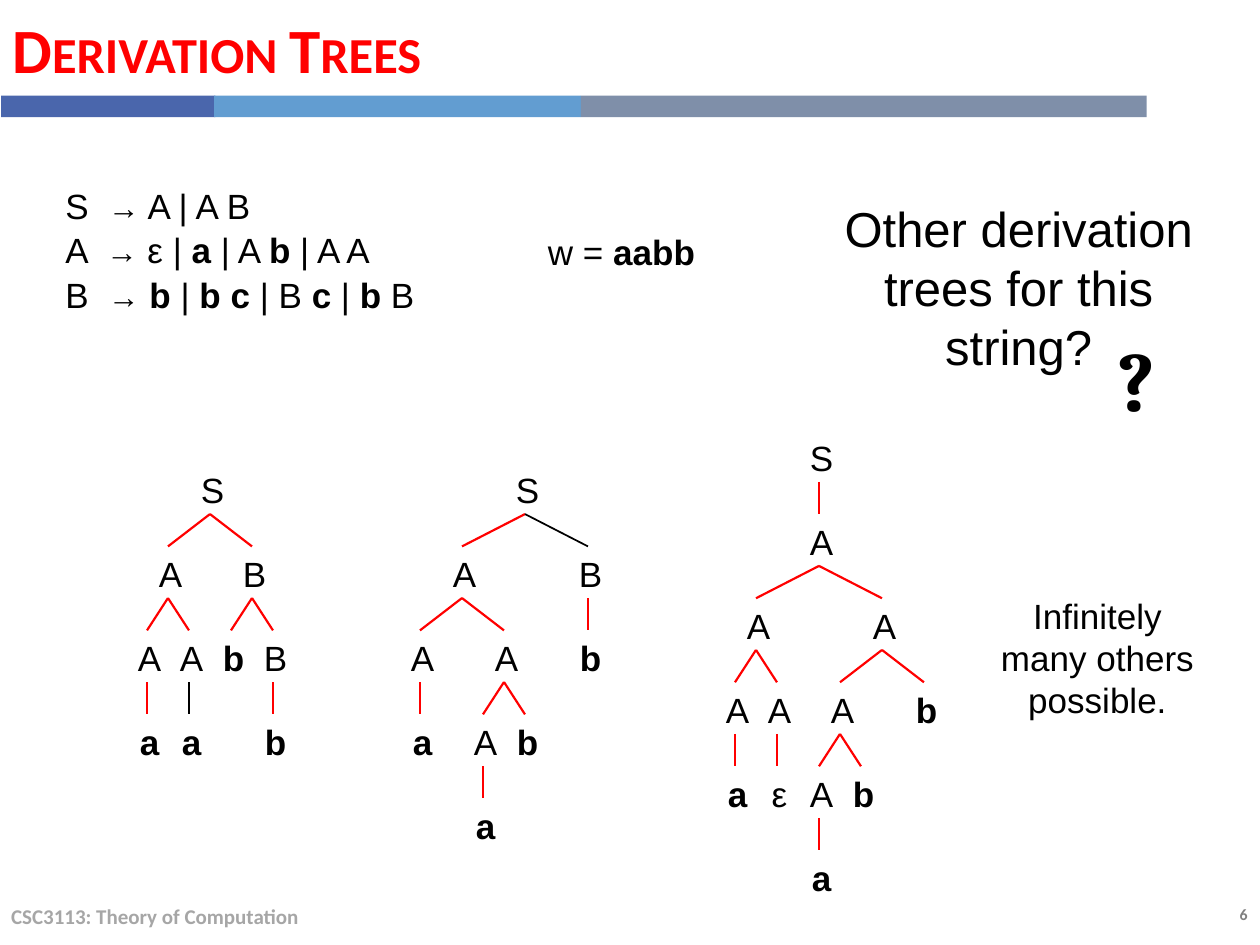
from dataclasses import dataclass

from lxml.etree import SubElement
from pptx import Presentation
from pptx.dml.color import RGBColor
from pptx.enum.shapes import MSO_CONNECTOR, MSO_SHAPE
from pptx.enum.text import MSO_ANCHOR, MSO_AUTO_SIZE, PP_ALIGN
from pptx.oxml.ns import qn
from pptx.util import Inches, Pt

RED, BLACK, WHITE = "FF0000", "000000", "FFFFFF"
COLUMN = 1 / 6
LEVEL = 2 / 3
NODE_WIDTH, NODE_HEIGHT = 0.39, 0.44
NODE_SHIFT = 0.02
EDGE_START = 0.41


@dataclass(frozen=True)
class Node:
    """A tree symbol on a column grid, with the colour of the edge above it."""
    label: str
    column: int
    children: tuple["Node", ...] = ()
    edge: str = RED


@dataclass(frozen=True)
class Label:
    """A block of text; asterisks enclose its bold parts."""
    lines: tuple[str, ...]
    left: float
    top: float
    width: float
    height: float
    size: float = 20
    font: str = "Arial"
    color: str = BLACK
    align: PP_ALIGN = PP_ALIGN.CENTER
    anchor: MSO_ANCHOR = MSO_ANCHOR.TOP
    wrap: bool = False
    line_spacing: float = 1.0
    space_before: float = 0
    small_caps: bool = False
    framed: bool = True


def rgb(value: str) -> RGBColor:
    """Turn a hex string into a colour."""
    return RGBColor.from_string(value)


def add_spans(para, line: str, label: Label) -> None:
    """Write one line as formatted runs, with arrows slightly smaller."""
    for index, part in enumerate(line.split("*")):
        before, arrow, after = part.partition("→")
        for words, size in ((before, label.size), (arrow, label.size - 2), (after, label.size)):
            if not words:
                continue
            span = para.add_run()
            span.text = words
            span.font.name = label.font
            span.font.size = Pt(size)
            span.font.bold = index % 2 == 1
            span.font.color.rgb = rgb(label.color)
            if label.small_caps:
                span.font._element.set("cap", "small")


def add_box(shapes, label: Label):
    """Draw a white-framed rectangle or a plain text box for a label."""
    place = (Inches(label.left), Inches(label.top), Inches(label.width), Inches(label.height))
    if not label.framed:
        return shapes.add_textbox(*place)
    box = shapes.add_shape(MSO_SHAPE.RECTANGLE, *place)
    box.shadow.inherit = False
    box.fill.background()
    box.line.color.rgb = rgb(WHITE)
    box.line.width = Pt(0.75)
    box.text_frame.auto_size = MSO_AUTO_SIZE.SHAPE_TO_FIT_TEXT
    return box


def add_label(shapes, label: Label) -> None:
    """Draw a label with its text."""
    frame = add_box(shapes, label).text_frame
    frame.word_wrap = label.wrap
    frame.vertical_anchor = label.anchor
    for index, line in enumerate(label.lines):
        para = frame.add_paragraph() if index else frame.paragraphs[0]
        para.alignment = label.align
        para.line_spacing = label.line_spacing
        para.space_before = Pt(label.space_before)
        add_spans(para, line, label)


def add_bar(shapes, left: float, width: float, color: str) -> None:
    """Draw one segment of the band below the title."""
    bar = shapes.add_shape(MSO_SHAPE.RECTANGLE, Inches(left), Inches(0.76),
                           Inches(width), Inches(0.17))
    bar.shadow.inherit = False
    bar.fill.solid()
    bar.fill.fore_color.rgb = rgb(color)
    bar.line.fill.background()


def add_edge(shapes, parent: Node, child: Node, top: float) -> None:
    """Join a parent, whose box starts at top, to its child."""
    edge = shapes.add_connector(MSO_CONNECTOR.STRAIGHT,
                                Inches(parent.column * COLUMN), Inches(top + EDGE_START),
                                Inches(child.column * COLUMN), Inches(top + LEVEL))
    edge.line.color.rgb = rgb(child.edge)
    edge.line.width = Pt(1.25 if child.edge == RED else 1)
    SubElement(edge._element.spPr, qn("a:effectLst"))


def add_tree(shapes, node: Node, top: float) -> None:
    """Draw a node and, recursively, everything derived from it."""
    left = node.column * COLUMN + NODE_SHIFT - NODE_WIDTH / 2
    add_label(shapes, Label((node.label,), left, top, NODE_WIDTH, NODE_HEIGHT))
    for child in node.children:
        add_tree(shapes, child, top + LEVEL)
        add_edge(shapes, node, child, top)


BARS = ((0.01, 1.7, "4A66AC"), (1.7, 2.91, "629DD1"), (4.61, 4.49, "7F8FA9"))

LABELS = (
    Label(("*6*",), 8.73, 7.13, 1.27, 0.25, 9, "Calibri", "808080", PP_ALIGN.RIGHT,
          wrap=True, framed=False),
    Label(("*CSC3113: Theory of Computation*",), -0.01, 7.07, 6.7, 0.4, 12, "Calibri", "A6A6A6",
          PP_ALIGN.LEFT, MSO_ANCHOR.MIDDLE, wrap=True, framed=False),
    Label(("*Derivation Trees*",), 0, 0, 9.1, 0.76, 36, "Calibri", RED, PP_ALIGN.LEFT,
          MSO_ANCHOR.MIDDLE, wrap=True, space_before=6, small_caps=True, framed=False),
    Label(("Infinitely many others possible.",), 7.84, 4.67, 1.74, 1.1, wrap=True),
    Label(("S  → A | A B", "A  → ε | *a* | A *b* | A A", "B  → *b* | *b c* | B *c* | *b *B"),
          0.42, 1.45, 2.99, 1.14, align=PP_ALIGN.LEFT, line_spacing=0.9, space_before=4),
    Label(("w = *aabb*",), 4.25, 1.78, 1.38, 0.44, align=PP_ALIGN.LEFT),
    Label(("Other derivation trees for this string?",), 6.5, 1.53, 3.17, 1.51, 28, wrap=True),
    Label(("*?*",), 8.77, 2.55, 0.5, 0.9, 48, "Cambria"),
)

TREES = (
    (3.67, Node("S", 10, (
        Node("A", 8, (
            Node("A", 7, (Node("*a*", 7),)),
            Node("A", 9, (Node("*a*", 9, edge=BLACK),)))),
        Node("B", 12, (
            Node("*b*", 11),
            Node("B", 13, (Node("*b*", 13),))))))),
    (3.67, Node("S", 25, (
        Node("A", 22, (
            Node("A", 20, (Node("*a*", 20),)),
            Node("A", 24, (
                Node("A", 23, (Node("*a*", 23),)),
                Node("*b*", 25))))),
        Node("B", 28, (Node("*b*", 28),), BLACK)))),
    (3.415, Node("S", 39, (
        Node("A", 39, (
            Node("A", 36, (
                Node("A", 35, (Node("*a*", 35),)),
                Node("A", 37, (Node("ε", 37),)))),
            Node("A", 42, (
                Node("A", 40, (
                    Node("A", 39, (Node("*a*", 39),)),
                    Node("*b*", 41))),
                Node("*b*", 44))))),))),
)


def main() -> None:
    """Build the slide and save it."""
    deck = Presentation()
    deck.slide_width, deck.slide_height = Inches(10), Inches(7.5)
    page = deck.slides.add_slide(deck.slide_layouts[6])
    page.background.fill.solid()
    page.background.fill.fore_color.rgb = rgb(WHITE)
    for left, width, color in BARS:
        add_bar(page.shapes, left, width, color)
    for label in LABELS:
        add_label(page.shapes, label)
    for top, root in TREES:
        add_tree(page.shapes.add_group_shape().shapes, root, top)
    deck.save("out.pptx")


if __name__ == "__main__":
    main()
